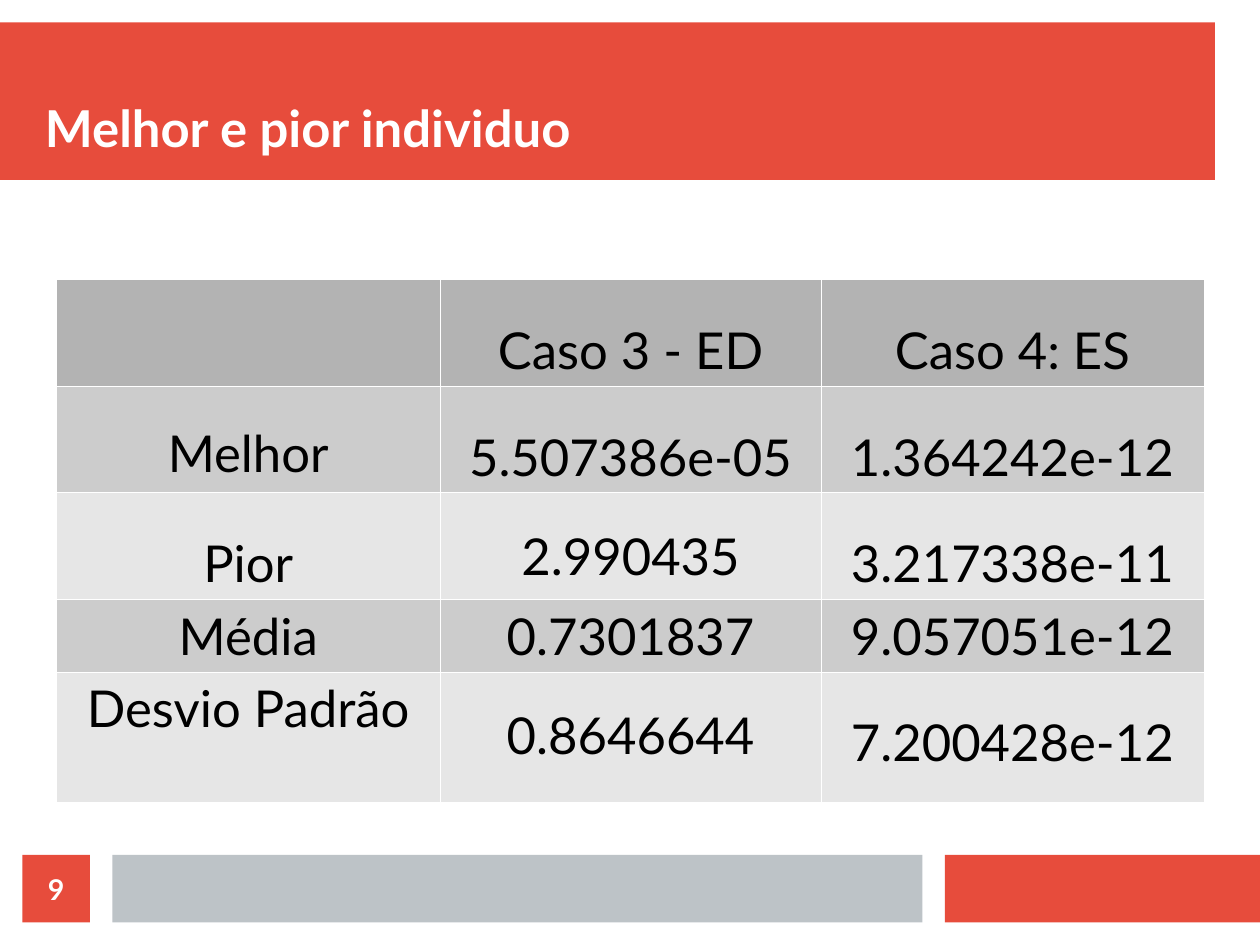
import dataclasses

import pptx
import pptx.dml.color
import pptx.enum.shapes
import pptx.enum.text
import pptx.oxml
import pptx.oxml.ns
import pptx.util

ALIGN = pptx.enum.text.PP_ALIGN
ANCHOR = pptx.enum.text.MSO_ANCHOR
SLIDE_WIDTH = pptx.util.Cm(28)
SLIDE_HEIGHT = pptx.util.Cm(21)
GRID_COLUMNS, GRID_ROWS = 56, 42


@dataclasses.dataclass(frozen=True)
class Theme:
    font: str = "Lato"
    accent: str = "E74C3C"
    neutral: str = "BDC3C7"
    light: str = "FFFFFF"
    dark: str = "000000"
    header_fill: str = "B3B3B3"
    band_fills: tuple = ("CCCCCC", "E6E6E6")
    title_size: int = 32
    table_size: int = 32
    number_size: int = 18
    line_height: float = 1.2
    border_width: float = 0.06


THEME = Theme()

TABLE_COLUMNS = (17.07, 16.92, 17.02)
TABLE_ROWS = (4.62, 4.62, 4.62, 3.15, 5.79)
# Each cell holds its text and the size in points of the line left free above it.
RESULTS = (
    (("", 0), ("Caso 3 - ED", 18), ("Caso 4: ES", 18)),
    (("Melhor", 16), ("5.507386e-05", 18), ("1.364242e-12", 18)),
    (("Pior", 18), ("2.990435", 14), ("3.217338e-11", 18)),
    (("Média", 0), ("0.7301837", 0), ("9.057051e-12", 0)),
    (("Desvio Padrão", 0), ("0.8646644", 14), ("7.200428e-12", 18)),
)


def across(columns):
    return round(SLIDE_WIDTH * columns / GRID_COLUMNS)


def down(rows):
    return round(SLIDE_HEIGHT * rows / GRID_ROWS)


def place(column, row, columns, rows):
    return across(column), down(row), across(columns), down(rows)


def rgb(color):
    return pptx.dml.color.RGBColor.from_string(color)


def write(frame, text, size, color, align, bold=False):
    frame.text = text
    para = frame.paragraphs[0]
    para.alignment = align
    for span in para.runs:
        span.font.name = THEME.font
        span.font.size = pptx.util.Pt(size)
        span.font.bold = bold
        span.font.color.rgb = rgb(color)


def clear_insets(frame, anchor):
    frame.margin_left = frame.margin_right = 0
    frame.margin_top = frame.margin_bottom = 0
    frame.vertical_anchor = anchor
    frame.word_wrap = True


def add_block(page, area, color):
    block = page.shapes.add_shape(
        pptx.enum.shapes.MSO_SHAPE.RECTANGLE, *place(*area))
    block.shadow.inherit = False
    block.fill.solid()
    block.fill.fore_color.rgb = rgb(color)
    block.line.fill.background()
    return block


def add_title(page, area, text):
    box = page.shapes.add_textbox(*place(*area))
    clear_insets(box.text_frame, ANCHOR.BOTTOM)
    write(box.text_frame, text, THEME.title_size, THEME.light, ALIGN.LEFT, bold=True)


def add_page_number(page, area, number):
    badge = add_block(page, area, THEME.accent)
    clear_insets(badge.text_frame, ANCHOR.MIDDLE)
    write(badge.text_frame, number, THEME.number_size, THEME.light,
          ALIGN.CENTER, bold=True)


def add_borders(cell):
    """Draw the four cell edges, which the schema wants ahead of the fill."""
    properties = cell._tc.get_or_add_tcPr()
    width = pptx.util.Pt(THEME.border_width)
    for position, edge in enumerate(("lnL", "lnR", "lnT", "lnB")):
        properties.insert(position, pptx.oxml.parse_xml(
            f'<a:{edge} {pptx.oxml.ns.nsdecls("a")} w="{width}"><a:solidFill>'
            f'<a:srgbClr val="{THEME.light}"/></a:solidFill></a:{edge}>'))


def style_cell(cell, text, lead, fill):
    cell.fill.solid()
    cell.fill.fore_color.rgb = rgb(fill)
    add_borders(cell)
    cell.margin_left = cell.margin_right = pptx.util.Inches(0.1)
    cell.margin_bottom = pptx.util.Inches(0.05)
    cell.margin_top = pptx.util.Inches(0.05) + pptx.util.Pt(lead * THEME.line_height)
    write(cell.text_frame, text, THEME.table_size, THEME.dark, ALIGN.CENTER)


def add_results(page, column, row):
    area = place(column, row, sum(TABLE_COLUMNS), sum(TABLE_ROWS))
    table = page.shapes.add_table(len(TABLE_ROWS), len(TABLE_COLUMNS), *area).table
    for table_column, width in zip(table.columns, TABLE_COLUMNS):
        table_column.width = across(width)
    for index, (height, entries) in enumerate(zip(TABLE_ROWS, RESULTS)):
        table.rows[index].height = down(height)
        fill = THEME.band_fills[(index - 1) % 2] if index else THEME.header_fill
        for cell, (text, lead) in zip(table.rows[index].cells, entries):
            style_cell(cell, text, lead, fill)


def main():
    deck = pptx.Presentation()
    deck.slide_width, deck.slide_height = SLIDE_WIDTH, SLIDE_HEIGHT
    page = deck.slides.add_slide(deck.slide_layouts[6])
    add_block(page, (0, 1, 54, 7), THEME.accent)
    add_block(page, (42, 38, 14, 3), THEME.accent)
    add_block(page, (5, 38, 36, 3), THEME.neutral)
    add_title(page, (2, 2, 52, 5), "Melhor e pior individuo")
    add_results(page, 2.5, 12.4)
    add_page_number(page, (1, 38, 3, 3), "9")
    deck.save("out.pptx")


if __name__ == "__main__":
    main()
